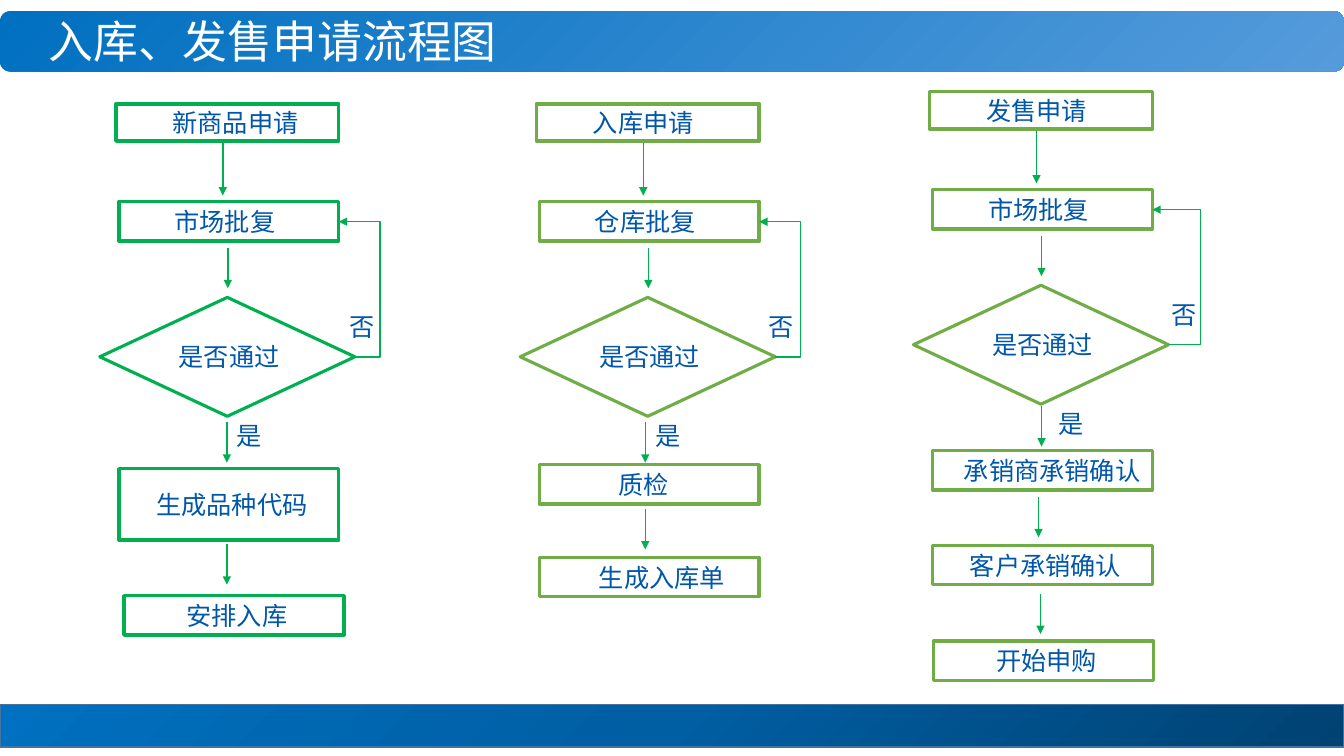
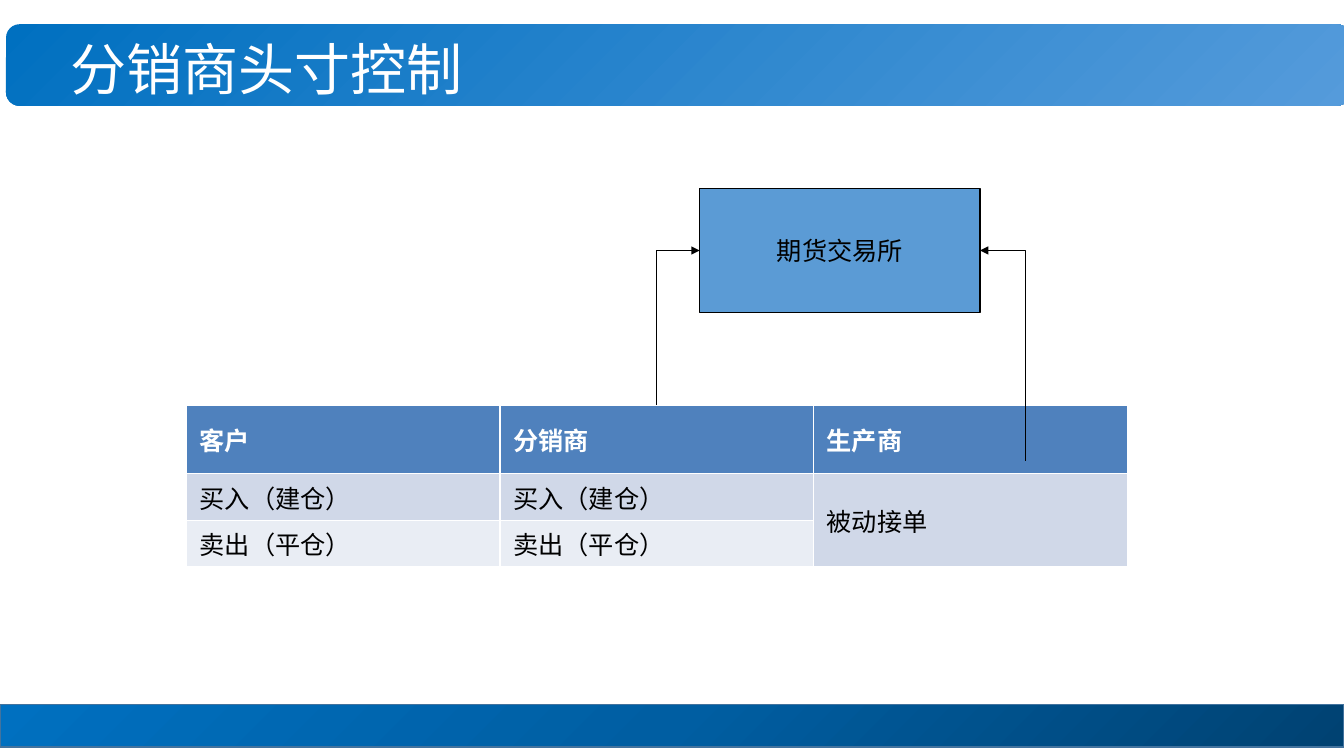
from dataclasses import dataclass

from lxml.etree import SubElement
from pptx import Presentation
from pptx.dml.color import RGBColor
from pptx.enum.shapes import MSO_CONNECTOR, MSO_SHAPE
from pptx.enum.text import MSO_ANCHOR, MSO_AUTO_SIZE, PP_ALIGN
from pptx.oxml import parse_xml
from pptx.oxml.ns import nsdecls, qn
from pptx.util import Inches, Pt

WHITE = RGBColor(0xFF, 0xFF, 0xFF)
BLACK = RGBColor(0x00, 0x00, 0x00)
TEXT_BLUE = RGBColor(0x00, 0x57, 0xA9)
GREEN = RGBColor(0x00, 0xB0, 0x50)
OLIVE = RGBColor(0x70, 0xAD, 0x47)
BOX_BLUE = RGBColor(0x5B, 0x9B, 0xD5)
FOOTER_LINE = RGBColor(0x43, 0x73, 0x9E)
HEAD_FILL = RGBColor(0x4F, 0x81, 0xBD)
ROW_FILLS = (RGBColor(0xD0, 0xD8, 0xE8), RGBColor(0xE9, 0xED, 0xF4))
BAND_BLUE = RGBColor(0x00, 0x70, 0xC0)
HEADER_STOPS = ((0, BAND_BLUE), (100, RGBColor(0x55, 0x9B, 0xDB)))
FOOTER_STOPS = ((0, RGBColor(0x00, 0x42, 0x72)), (50, RGBColor(0x00, 0x5E, 0xA2)), (100, BAND_BLUE))
DIAGONAL = '<a:lin ang="2700000" scaled="0"/>'
FROM_CORNER = '<a:path path="circle"><a:fillToRect l="100000" t="100000"/></a:path>'

LATIN_FONT = "Calibri"
CJK_FONT = "Noto Sans CJK SC"
SLIDE_W = 13.33
ARROW = 0.4


@dataclass(frozen=True)
class Box:
    x: float
    y: float
    w: float
    h: float

    def lengths(self) -> tuple:
        return tuple(Inches(v) for v in (self.x, self.y, self.w, self.h))


@dataclass(frozen=True)
class Step:
    """A box after the decision; places are relative to its flow."""
    label: str
    dx: float
    dy: float
    indent: float
    arrow_dx: float
    arrow_dy: float
    h: float = 0.39


@dataclass(frozen=True)
class Flow:
    x: float
    y: float
    color: RGBColor
    request: str
    approval: str
    bend_dx: float
    no_dx: float
    yes_dx: float
    steps: tuple[Step, ...]


FLOWS = (
    Flow(1.15, 1.03, GREEN, "新商品申请", "市场批复", 2.62, 2.22, 1.1, (
        Step("生成品种代码", 0.03, 3.62, 0.37, 1.1, 3.16, 0.71),
        Step("安排入库", 0.08, 4.88, 0.62, 1.1, 4.37))),
    Flow(5.32, 1.03, OLIVE, "入库申请", "仓库批复", 2.62, 2.2, 1.08, (
        Step("质检", 0.03, 3.58, 0.78, 1.08, 3.16),
        Step("生成入库单", 0.03, 4.5, 0.59, 1.08, 4.02))),
    Flow(9.22, 0.91, OLIVE, "发售申请", "市场批复", 2.69, 2.3, 1.18, (
        Step("承销商承销确认", 0.03, 3.56, 0.31, 1.11, 3.12),
        Step("客户承销确认", 0.03, 4.5, 0.37, 1.08, 4.02),
        Step("开始申购", 0.04, 5.45, 0.62, 1.1, 4.98))),
)

TABLE_ROWS = (
    ("客户", "分销商", "生产商"),
    ("买入（建仓）", "买入（建仓）", "被动接单"),
    ("卖出（平仓）", "卖出（平仓）", ""),
)
ROW_HEIGHTS = (0.68, 0.46, 0.46)
COLUMN_W = 3.11


def add_run(p, text: str, color: RGBColor, size: float = 18, font: str = LATIN_FONT, bold: bool = False) -> None:
    r = p.add_run()
    r.text = text
    r.font.size = Pt(size)
    r.font.bold = bold
    r.font.color.rgb = color
    r.font.name = font
    SubElement(r.font._element, qn("a:ea"), typeface=CJK_FONT)


def add_box(slide, kind, box: Box, line: RGBColor | None = None, width: float = 1):
    sp = slide.shapes.add_shape(kind, *box.lengths())
    sp.shadow.inherit = False
    sp.fill.background()
    if line is None:
        sp.line.fill.background()
    else:
        sp.line.color.rgb = line
        sp.line.width = Pt(width)
    return sp


def set_gradient(sp, stops: tuple, shade: str) -> None:
    """Fill a shape with colour stops; shade is the lin or path element."""
    sp.fill.gradient()
    old = sp._element.spPr.find(qn("a:gradFill"))
    marks = "".join(f'<a:gs pos="{pos * 1000}"><a:srgbClr val="{color}"/></a:gs>' for pos, color in stops)
    new = parse_xml(f'<a:gradFill {nsdecls("a")} rotWithShape="1"><a:gsLst>{marks}</a:gsLst>{shade}</a:gradFill>')
    old.getparent().replace(old, new)


def add_framed_slide(prs, title: str, band: Box, title_box: Box, size: float, align, inset: float):
    """Add a slide with header band, title and footer band."""
    slide = prs.slides.add_slide(prs.slide_layouts[5])
    header = add_box(slide, MSO_SHAPE.ROUNDED_RECTANGLE, band)
    set_gradient(header, HEADER_STOPS, DIAGONAL)
    sp = slide.shapes.title
    sp._element.addprevious(header._element)
    sp.left, sp.top, sp.width, sp.height = title_box.lengths()
    tf = sp.text_frame
    tf.word_wrap = True
    tf.auto_size = MSO_AUTO_SIZE.NONE
    tf.vertical_anchor = MSO_ANCHOR.MIDDLE
    tf.margin_left = tf.margin_right = Inches(inset)
    p = tf.paragraphs[0]
    p.alignment = align
    p.line_spacing = 0.9
    add_run(p, title, WHITE, size)
    footer = add_box(slide, MSO_SHAPE.RECTANGLE, Box(0, 6.99, SLIDE_W, 0.42), FOOTER_LINE)
    set_gradient(footer, FOOTER_STOPS, FROM_CORNER)
    return slide


def add_node(slide, kind, box: Box, color: RGBColor, label: str, indent: float, width: float = 2.5) -> None:
    sp = add_box(slide, kind, box, color, width)
    tf = sp.text_frame
    tf.word_wrap = True
    tf.vertical_anchor = MSO_ANCHOR.MIDDLE
    tf.margin_left = Inches(indent)
    tf.margin_top = tf.margin_right = tf.margin_bottom = 0
    p = tf.paragraphs[0]
    p.alignment = PP_ALIGN.LEFT
    add_run(p, label, TEXT_BLUE, font=CJK_FONT)


def add_label(slide, x: float, y: float, text: str) -> None:
    tf = slide.shapes.add_textbox(*Box(x, y, 0.45, 0.4).lengths()).text_frame
    tf.word_wrap = False
    add_run(tf.paragraphs[0], text, TEXT_BLUE, font=CJK_FONT)


def add_line(slide, kind, start: tuple, end: tuple, color: RGBColor, width: float, arrow_end: str):
    cx = slide.shapes.add_connector(kind, *(Inches(v) for v in (*start, *end)))
    cx.line.color.rgb = color
    cx.line.width = Pt(width)
    SubElement(cx.line._get_or_add_ln(), qn(arrow_end), type="triangle")
    SubElement(cx._element.spPr, qn("a:effectLst"))
    return cx


def add_down_arrow(slide, x: float, y: float, length: float = ARROW) -> None:
    add_line(slide, MSO_CONNECTOR.STRAIGHT, (x, y), (x, y + length), GREEN, 1, "a:tailEnd")


def add_elbow(slide, tip: tuple, bend_x: float, source: tuple, color: RGBColor, width: float) -> None:
    """Draw an elbow whose arrowhead is at tip and whose upright is at bend_x."""
    cx = add_line(slide, MSO_CONNECTOR.ELBOW, tip, source, color, width, "a:headEnd")
    ratio = (bend_x - tip[0]) / (source[0] - tip[0])
    guides = cx._element.spPr.find(qn("a:prstGeom")).get_or_add_avLst()
    SubElement(guides, qn("a:gd"), name="adj1", fmla=f"val {round(ratio * 100000)}")


def draw_flow(slide, flow: Flow) -> None:
    x, y = flow.x, flow.y
    rect = MSO_SHAPE.RECTANGLE
    add_node(slide, rect, Box(x, y, 2.21, 0.37), flow.color, flow.request, 0.56)
    add_down_arrow(slide, x + 1.06, y + 0.39, 0.52)
    add_node(slide, rect, Box(x + 0.03, y + 0.97, 2.18, 0.39), flow.color, flow.approval, 0.55)
    add_down_arrow(slide, x + 1.11, y + 1.43)
    add_node(slide, MSO_SHAPE.DIAMOND, Box(x - 0.16, y + 1.92, 2.53, 1.18), flow.color, "是否通过", 0.15, 2.25)
    add_elbow(slide, (x + 2.21, y + 1.17), x + flow.bend_dx, (x + 2.37, y + 2.51), GREEN, 1)
    add_label(slide, x + flow.no_dx, y + 2.01, "否")
    add_label(slide, x + flow.yes_dx, y + 3.09, "是")
    for step in flow.steps:
        add_down_arrow(slide, x + step.arrow_dx, y + step.arrow_dy)
        add_node(slide, rect, Box(x + step.dx, y + step.dy, 2.18, step.h), flow.color, step.label, step.indent)


def draw_position_table(slide) -> None:
    box = Box(1.85, 4.02, COLUMN_W * 3, sum(ROW_HEIGHTS))
    table = slide.shapes.add_table(len(TABLE_ROWS), 3, *box.lengths()).table
    for column in table.columns:
        column.width = Inches(COLUMN_W)
    for i, (texts, height) in enumerate(zip(TABLE_ROWS, ROW_HEIGHTS)):
        table.rows[i].height = Inches(height)
        for cell, text in zip(table.rows[i].cells, texts):
            cell.fill.solid()
            cell.fill.fore_color.rgb = ROW_FILLS[i - 1] if i else HEAD_FILL
            cell.vertical_anchor = MSO_ANCHOR.MIDDLE
            cell.margin_left = cell.margin_right = Inches(0.13)
            if text:
                add_run(cell.text_frame.paragraphs[0], text, BLACK if i else WHITE, bold=i == 0)
    table.cell(1, 2).merge(table.cell(2, 2))


def draw_exchange(slide) -> None:
    box = Box(6.94, 1.87, 2.78, 1.23)
    sp = add_box(slide, MSO_SHAPE.RECTANGLE, box, BLACK, 0.75)
    sp.fill.solid()
    sp.fill.fore_color.rgb = BOX_BLUE
    tf = sp.text_frame
    tf.vertical_anchor = MSO_ANCHOR.MIDDLE
    p = tf.paragraphs[0]
    p.alignment = PP_ALIGN.CENTER
    add_run(p, "期货交易所", BLACK)
    middle = box.y + box.h / 2
    for tip_x, source in ((box.x, (6.51, 4.02)), (box.x + box.w, (10.17, 4.57))):
        add_elbow(slide, (tip_x, middle), source[0], source, BLACK, 0.75)


def main() -> None:
    prs = Presentation()
    prs.slide_width = Inches(SLIDE_W)
    prs.slide_height = Inches(7.5)

    slide = add_framed_slide(prs, "入库、发售申请流程图", Box(0, 0.11, SLIDE_W, 0.6),
                             Box(0.34, 0.06, 9.43, 0.76), 32, PP_ALIGN.LEFT, 0.14)
    for flow in FLOWS:
        draw_flow(slide, flow)

    slide = add_framed_slide(prs, "分销商头寸控制", Box(0.06, 0.24, SLIDE_W, 0.81),
                             Box(0, 0, 5.29, 1.44), 40, PP_ALIGN.CENTER, 0.1)
    draw_position_table(slide)
    draw_exchange(slide)

    prs.save("out.pptx")


if __name__ == "__main__":
    main()
